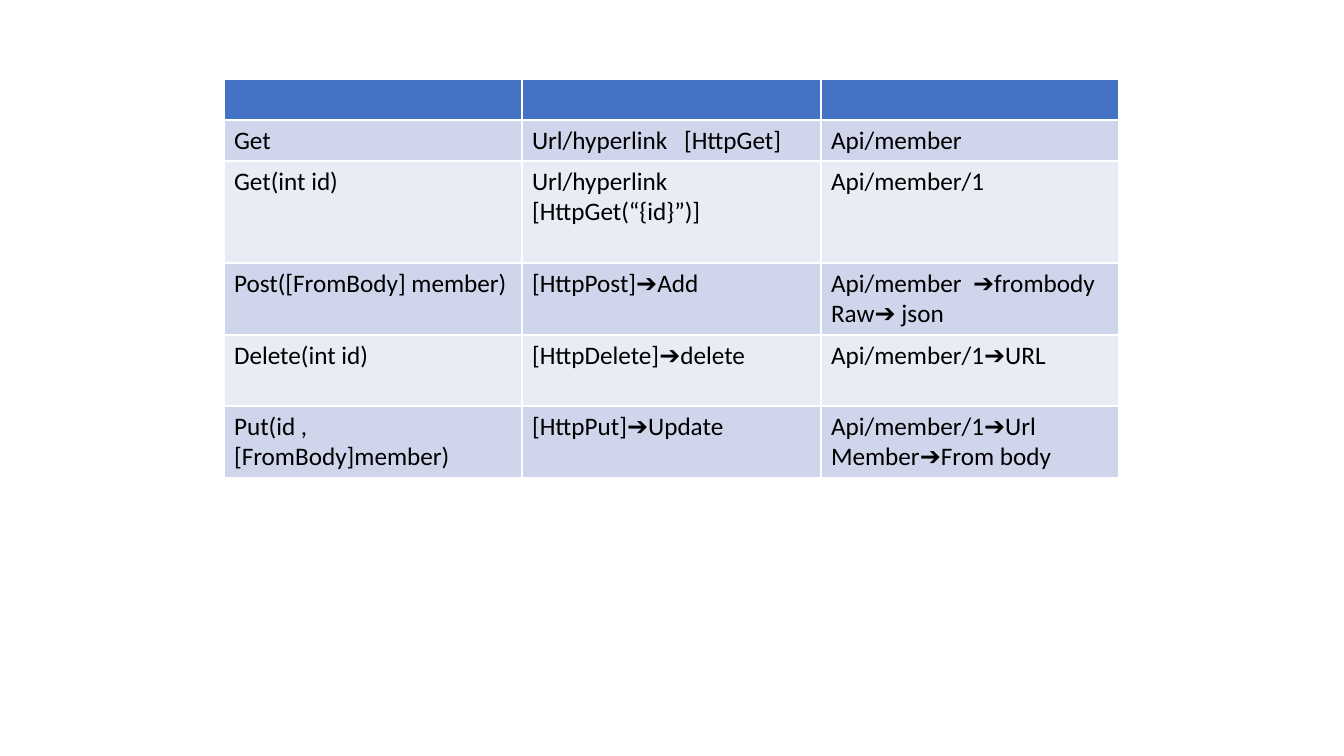
from lxml import etree
from pptx import Presentation
from pptx.dml.color import RGBColor
from pptx.oxml.ns import qn
from pptx.util import Emu, Pt

PX = 914400 / 100.8
HEADER = RGBColor(0x44, 0x72, 0xC4)
BAND_DARK = RGBColor(0xCF, 0xD5, 0xEA)
BAND_LIGHT = RGBColor(0xE9, 0xEB, 0xF5)
BLACK = RGBColor(0, 0, 0)
FONT = {"name": "Calibri", "size": Pt(18), "bold": False}

LEFT, TOP = 224, 79
COL_WIDTHS = [298, 299, 298]
ROW_HEIGHTS = [41, 41, 102, 72, 71, 72]
TAB_STOPS = [0, 152, 142]  # one per column
ROWS = [
    ["", "", ""],
    ["Get", "Url/hyperlink\t[HttpGet]", "Api/member"],
    ["Get(int id)", "Url/hyperlink [HttpGet(“{id}”)]", "Api/member/1"],
    ["Post([FromBody] member)", "[HttpPost]➔Add", "Api/member\t➔frombody\nRaw➔ json"],
    ["Delete(int id)", "[HttpDelete]➔delete", "Api/member/1➔URL"],
    ["Put(id , [FromBody]member)", "[HttpPut]➔Update", "Api/member/1➔Url\nMember➔From body"],
]


def px(n):
    return Emu(round(n * PX))


prs = Presentation()
prs.slide_width, prs.slide_height = px(1344), px(756)
s = prs.slides.add_slide(prs.slide_layouts[6])

# Table grid; the default table style draws the white borders
table = s.shapes.add_table(len(ROWS), len(COL_WIDTHS), px(LEFT), px(TOP),
                           px(sum(COL_WIDTHS)), px(sum(ROW_HEIGHTS))).table
for col, width in zip(table.columns, COL_WIDTHS):
    col.width = px(width)
for row, height in zip(table.rows, ROW_HEIGHTS):
    row.height = px(height)

# Cells: header, then alternating bands
for i, texts in enumerate(ROWS):
    color = HEADER if i == 0 else BAND_DARK if i % 2 else BAND_LIGHT
    for j, text in enumerate(texts):
        cell = table.cell(i, j)
        cell.fill.solid()
        cell.fill.fore_color.rgb = color
        if not text:
            continue
        cell.text = text
        for p in cell.text_frame.paragraphs:
            if "\t" in p.text:
                tabs = etree.SubElement(p._p.get_or_add_pPr(), qn("a:tabLst"))
                etree.SubElement(tabs, qn("a:tab"), pos=str(px(TAB_STOPS[j])), algn="l")
            for r in p.runs:
                for key, value in FONT.items():
                    setattr(r.font, key, value)
                r.font.color.rgb = BLACK

prs.save("out.pptx")
